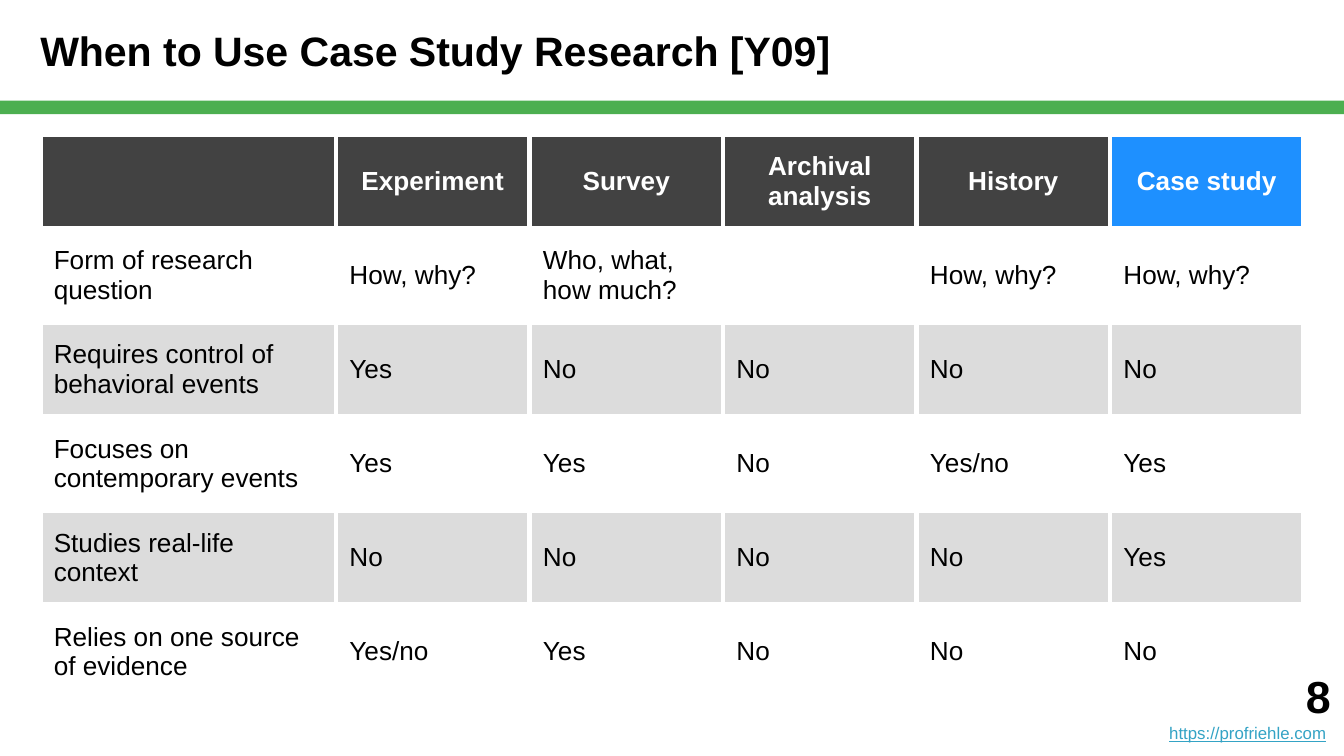
from lxml import etree
from pptx import Presentation
from pptx.dml.color import RGBColor
from pptx.enum import shapes, text
from pptx.oxml.ns import qn
from pptx.util import Inches, Pt

ROWS = [
    ["", "Experiment", "Survey", "Archival analysis", "History", "Case study"],
    ["Form of research question", "How, why?", "Who, what, how much?", "", "How, why?", "How, why?"],
    ["Requires control of behavioral events", "Yes", "No", "No", "No", "No"],
    ["Focuses on contemporary events", "Yes", "Yes", "No", "Yes/no", "Yes"],
    ["Studies real-life context", "No", "No", "No", "No", "Yes"],
    ["Relies on one source of evidence", "Yes/no", "Yes", "No", "No", "No"],
]
COL_WIDTHS = [2.2] + [1.44] * 5
ROW_HEIGHT = 0.7


def rgb(value):
    return RGBColor.from_string(value)


def add_run(p, content, color="000000", **font):
    r = p.add_run()
    r.text = content
    r.font.color.rgb = rgb(color)
    for name, value in {"name": "Arial", **font}.items():
        setattr(r.font, name, value)


prs = Presentation()
prs.slide_width = Inches(10)
prs.slide_height = prs.slide_width * 9 // 16
s = prs.slides.add_slide(prs.slide_layouts[6])

# Green rule below the title
rule = s.shapes.add_shape(shapes.MSO_SHAPE.RECTANGLE, 0, Inches(0.75), Inches(10), Inches(0.1))
rule.shadow.inherit = False
rule.fill.solid()
rule.fill.fore_color.rgb = rgb("4CAF50")
rule.line.fill.background()

# Title and footer
title = s.shapes.add_textbox(0, 0, Inches(10), Inches(0.75)).text_frame
footer = s.shapes.add_textbox(Inches(8), Inches(4.83), Inches(2), Inches(0.8)).text_frame
for tf, left, anchor in ((title, 0.3, text.MSO_ANCHOR.MIDDLE), (footer, 0.1, text.MSO_ANCHOR.BOTTOM)):
    frame = {"word_wrap": True, "vertical_anchor": anchor, "margin_left": Inches(left),
             "margin_right": Inches(0.1), "margin_top": Inches(0.1), "margin_bottom": Inches(0.1)}
    for name, value in frame.items():
        setattr(tf, name, value)

add_run(title.paragraphs[0], "When to Use Case Study Research [Y09]", size=Pt(22), bold=True)
number, link = footer.paragraphs[0], footer.add_paragraph()
number.alignment = link.alignment = text.PP_ALIGN.RIGHT
add_run(number, "8", size=Pt(24), bold=True)
add_run(link, "https://profriehle.com", "34A3C5", size=Pt(9), underline=True)
add_run(link, " ", "808080", size=Pt(9))

# Comparison table
table = s.shapes.add_table(len(ROWS), len(COL_WIDTHS), Inches(0.3), Inches(1),
                           Inches(sum(COL_WIDTHS)), Inches(ROW_HEIGHT * len(ROWS))).table
table.first_row = table.horz_banding = False
for column, width in zip(table.columns, COL_WIDTHS):
    column.width = Inches(width)

for i, row in enumerate(ROWS):
    table.rows[i].height = Inches(ROW_HEIGHT)
    header = i == 0
    for j, content in enumerate(row):
        cell = table.cell(i, j)
        cell.vertical_anchor = text.MSO_ANCHOR.MIDDLE
        for side in ("left", "right", "top", "bottom"):
            setattr(cell, f"margin_{side}", Inches(0.1))

        tcPr = cell._tc.get_or_add_tcPr()
        for tag in ("a:lnL", "a:lnR", "a:lnT", "a:lnB"):
            ln = etree.SubElement(tcPr, qn(tag), w=str(Pt(3)))
            fill = etree.SubElement(ln, qn("a:solidFill"))
            etree.SubElement(fill, qn("a:srgbClr"), val="FFFFFF")

        if header or i % 2 == 0:
            cell.fill.solid()
            header_color = "1E90FF" if content == "Case study" else "424242"
            cell.fill.fore_color.rgb = rgb(header_color if header else "DCDCDC")
        else:
            cell.fill.background()

        if content:
            p = cell.text_frame.paragraphs[0]
            p.alignment = text.PP_ALIGN.CENTER if header else text.PP_ALIGN.LEFT
            add_run(p, content, "FFFFFF" if header else "000000", size=Pt(14), bold=header)

prs.save("out.pptx")
